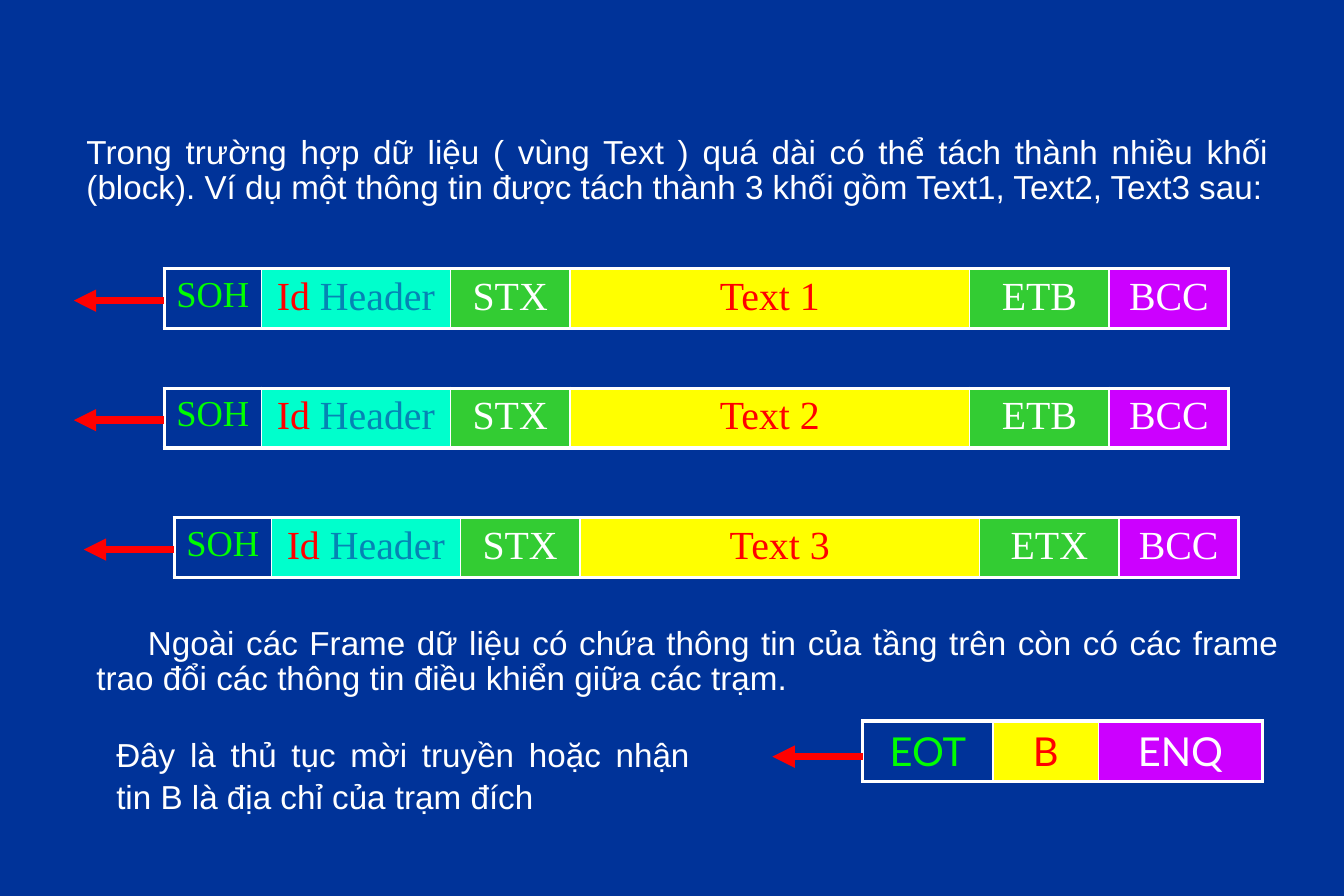
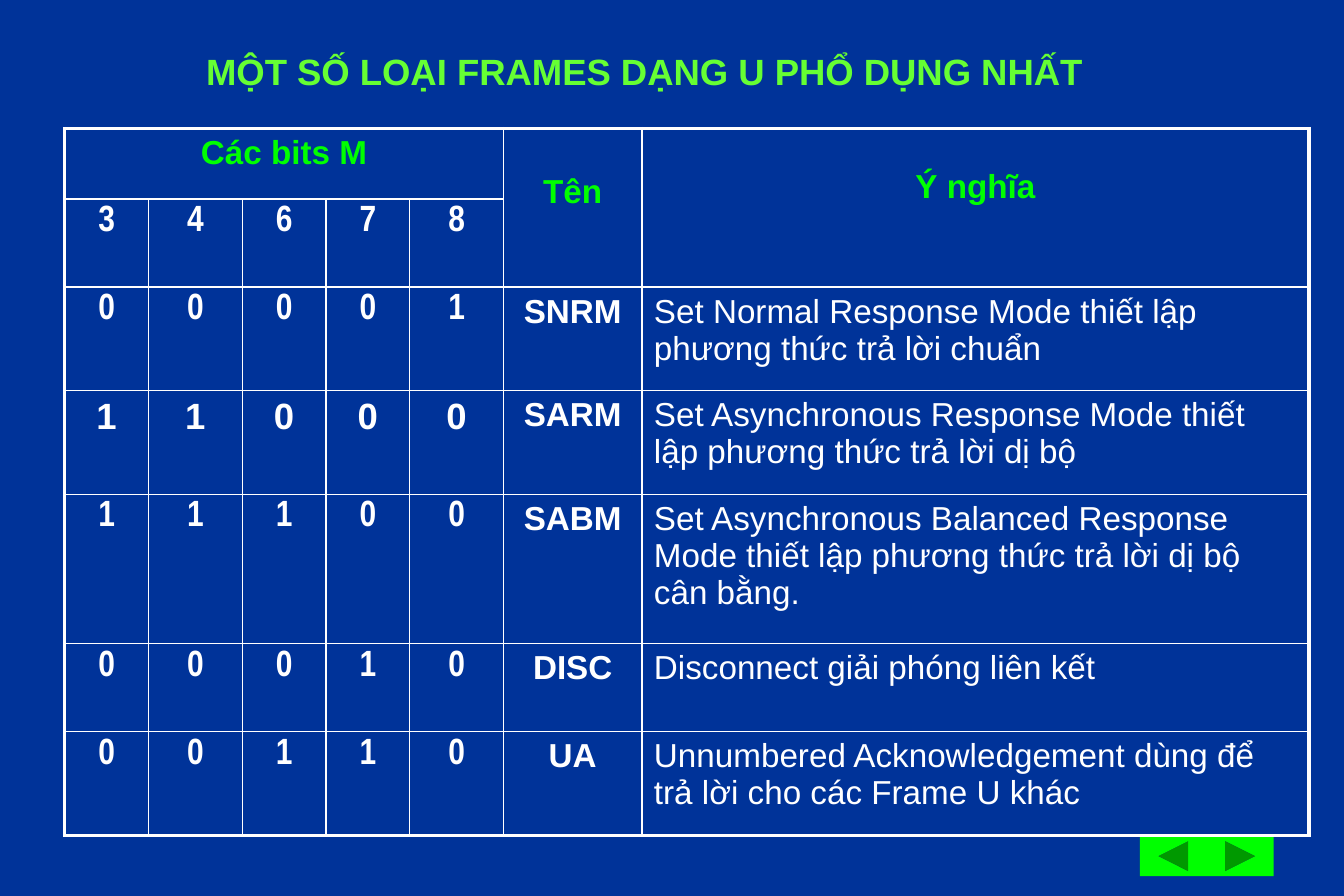
from dataclasses import dataclass
from lxml import etree
from pptx import Presentation
from pptx.dml.color import RGBColor
from pptx.enum.shapes import MSO_CONNECTOR, MSO_SHAPE
from pptx.enum.text import MSO_ANCHOR, PP_ALIGN
from pptx.oxml.ns import qn
from pptx.util import Pt

LEFT, CENTER, JUSTIFY = PP_ALIGN.LEFT, PP_ALIGN.CENTER, PP_ALIGN.JUSTIFY
TOP = MSO_ANCHOR.TOP
STRAIGHT = MSO_CONNECTOR.STRAIGHT
BACK = MSO_SHAPE.ACTION_BUTTON_BACK_OR_PREVIOUS
NEXT = MSO_SHAPE.ACTION_BUTTON_FORWARD_OR_NEXT


@dataclass(frozen=True)
class Theme:
    navy: str = "003399"
    white: str = "FFFFFF"
    lime: str = "00FF00"
    title: str = "66FF33"
    red: str = "FF0000"
    teal: str = "0584B4"
    aqua: str = "00FFCC"
    green: str = "33CC33"
    yellow: str = "FFFF00"
    violet: str = "CC00FF"
    sans: str = "Arial"
    narrow: str = "Arial Narrow"
    serif: str = "Times New Roman"
    humanist: str = "Lato"
    body: float = 20
    label: float = 22
    field: float = 24
    inner: float = 1
    outer: float = 2.25
    arrow: float = 4.5


T = Theme()


def rgb(value):
    return RGBColor.from_string(value)


def style(font, size, name, color, bold=False):
    font.size, font.name, font.bold = Pt(size), name, bold
    font.color.rgb = rgb(color)


def border_cell(cell, widths):
    tcPr = cell._tc.get_or_add_tcPr()
    for side, width in zip("LRTB", widths):
        ln = etree.SubElement(tcPr, qn(f"a:ln{side}"), w=str(Pt(width)))
        fill = etree.SubElement(ln, qn("a:solidFill"))
        etree.SubElement(fill, qn("a:srgbClr"), val=T.white)


def add_grid(s, left, top, cols, rows):
    frame = s.shapes.add_table(len(rows), len(cols), Pt(left), Pt(top),
                               Pt(sum(cols)), Pt(sum(rows)))
    table = frame.table
    table.first_row = table.horz_banding = False
    for col, width in zip(table.columns, cols):
        col.width = Pt(width)
    for row, height in zip(table.rows, rows):
        row.height = Pt(height)
    for i in range(len(rows)):
        for j in range(len(cols)):
            edges = (j == 0, j == len(cols) - 1, i == 0, i == len(rows) - 1)
            cell = table.cell(i, j)
            border_cell(cell, [T.outer if e else T.inner for e in edges])
            cell.fill.background()
    return table


def set_cell(cell, text, size, name, color, bold=False, align=CENTER):
    p = cell.text_frame.paragraphs[0]
    p.text, p.alignment = text, align
    style(p.font, size, name, color, bold)


def add_arrow(s, left, right, y):
    line = s.shapes.add_connector(STRAIGHT, Pt(left), Pt(y), Pt(right), Pt(y))
    line.line.color.rgb = rgb(T.red)
    line.line.width = Pt(T.arrow)
    etree.SubElement(line.line._get_or_add_ln(), qn("a:headEnd"), type="triangle")
    etree.SubElement(line._element.spPr, qn("a:effectLst"))


def add_frame(s, left, top, height, cols, fields, name, arrow_drop):
    table = add_grid(s, left, top, cols, [height])
    for cell, (text, color, fill) in zip(table.rows[0].cells, fields):
        size = T.label if text == "SOH" else T.field
        set_cell(cell, text, size, name, color)
        if fill:
            cell.fill.solid()
            cell.fill.fore_color.rgb = rgb(fill)
    add_arrow(s, left - 54.5, left, top + arrow_drop)
    return table


def add_data_frame(s, left, top, text, end):
    fields = [("SOH", T.lime, None), ("Id ", T.red, T.aqua),
              ("STX", T.white, T.green), (text, T.red, T.yellow),
              (end, T.white, T.green), ("BCC", T.white, T.violet)]
    table = add_frame(s, left, top, 36, [58.5, 114, 72, 241, 84, 72],
                      fields, T.serif, 19.2)
    r = table.cell(0, 1).text_frame.paragraphs[0].add_run()
    r.text = "Header"
    r.font.color.rgb = rgb(T.teal)


def add_body(s, left, top, width, height, text, spacing, indent=0):
    tf = s.shapes.add_textbox(Pt(left), Pt(top), Pt(width), Pt(height)).text_frame
    tf.word_wrap = True
    p = tf.paragraphs[0]
    p.text, p.alignment, p.line_spacing = text, JUSTIFY, spacing
    style(p.font, T.body, T.sans, T.white)
    if indent:
        p._p.get_or_add_pPr().set("indent", str(Pt(indent)))


def add_buttons(s, left, top, width, height):
    for i, kind in enumerate((BACK, NEXT)):
        sp = s.shapes.add_shape(kind, Pt(left + i * width), Pt(top),
                                Pt(width), Pt(height))
        sp.shadow.inherit = False
        sp.fill.solid()
        sp.fill.fore_color.rgb = rgb(T.lime)
        sp.line.fill.background()


def set_title(s, left, top, width, height, text):
    sp = s.shapes.title
    sp.left, sp.top, sp.width, sp.height = map(Pt, (left, top, width, height))
    tf = sp.text_frame
    tf.word_wrap, tf.vertical_anchor = False, TOP
    p = tf.paragraphs[0]
    p.text, p.alignment = text, LEFT
    style(p.font, T.label, T.sans, T.title, True)


def add_u_frames(s, left, top):
    bits = [50.5, 56.5, 50.5, 50.5, 56.5]
    table = add_grid(s, left, top, bits + [83.5, 402],
                     [42.5, 53, 62.5, 62.5, 90, 53, 62.5])
    table.cell(0, 0).merge(table.cell(0, 4))
    for col, text, drop in ((0, "Các bits M", 3.6), (5, "Tên", 27), (6, "Ý nghĩa", 24)):
        cell = table.cell(0, col)
        if col:
            cell.merge(table.cell(1, col))
        cell.margin_top = Pt(drop)
        set_cell(cell, text, T.body, T.sans, T.lime, True)
    rows = [
        ("34678", "", ""),
        ("00001", "SNRM", "Set Normal Response Mode thiết lập phương thức trả lời chuẩn"),
        ("11000", "SARM", "Set Asynchronous Response Mode thiết lập phương thức trả lời dị bộ"),
        ("11100", "SABM", "Set Asynchronous Balanced Response Mode thiết lập "
                          "phương thức trả lời dị bộ cân bằng."),
        ("00010", "DISC", "Disconnect giải phóng liên kết"),
        ("00110", "UA", "Unnumbered Acknowledgement dùng để trả lời cho các Frame U khác"),
    ]
    for i, (digits, name, meaning) in enumerate(rows, 1):
        font = T.sans if name == "SARM" else T.narrow
        for j, digit in enumerate(digits):
            set_cell(table.cell(i, j), digit, T.label, font, T.white, True)
        if name:
            set_cell(table.cell(i, 5), name, T.body, T.sans, T.white, True)
            set_cell(table.cell(i, 6), meaning, T.body, T.sans, T.white, align=LEFT)


def build_blocks(prs):
    s = prs.slides.add_slide(prs.slide_layouts[6])
    add_body(s, 45, 78, 727, 51,
             "Trong trường hợp dữ liệu ( vùng Text ) quá dài có thể tách thành nhiều khối "
             "(block). Ví dụ một thông tin được tách thành 3 khối gồm Text1, Text2, Text3 sau:",
             0.9)
    for left, top, text, end in ((99, 162, "Text 1", "ETB"),
                                 (99, 234, "Text 2", "ETB"),
                                 (105, 312, "Text 3", "ETX")):
        add_data_frame(s, left, top, text, end)
    add_body(s, 51, 374, 727, 53,
             "Ngoài các Frame dữ liệu có chứa thông tin của tầng trên còn có các frame "
             "trao đổi các thông tin điều khiển giữa các trạm.", 0.9, 31)
    add_frame(s, 520, 434.5, 36.5, [78.5, 63.5, 99],
              [("EOT", T.lime, None), ("B", T.red, T.yellow), ("ENQ", T.white, T.violet)],
              T.humanist, 21.5)
    add_body(s, 63, 438, 360, 55,
             "Đây là thủ tục mời truyền hoặc nhận tin B là địa chỉ của trạm đích", 1.05)


def build_u_frames(prs):
    s = prs.slides.add_slide(prs.slide_layouts[5])
    add_buttons(s, 687, 504, 40.3, 24)
    set_title(s, 117, 26, 549, 34, "MỘT SỐ LOẠI FRAMES DẠNG U PHỔ DỤNG NHẤT")
    add_u_frames(s, 39, 77.5)


prs = Presentation()
prs.slide_width, prs.slide_height = Pt(810), Pt(540)
background = prs.slide_master.background.fill
background.solid()
background.fore_color.rgb = rgb(T.navy)
build_blocks(prs)
build_u_frames(prs)
prs.save("out.pptx")
